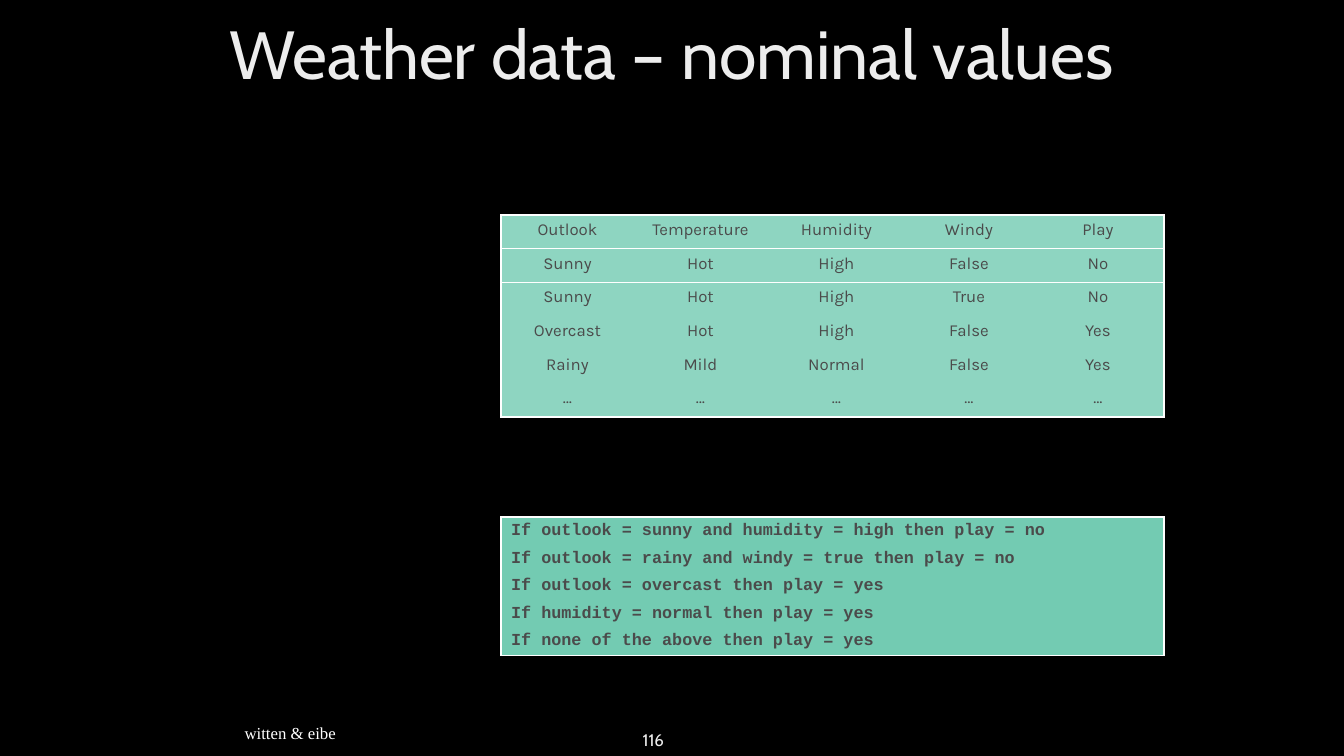
from collections import namedtuple

from lxml.etree import SubElement
from pptx import Presentation
from pptx.dml.color import RGBColor
from pptx.enum.text import MSO_ANCHOR, MSO_AUTO_SIZE, PP_ALIGN
from pptx.oxml.ns import qn
from pptx.util import Emu, Pt

COLORS = {
    "background": "000000",
    "title": "EDEDED",
    "white": "FFFFFF",
    "table text": "4B4B4B",
    "weather fill": "8ED5C1",
    "rules fill": "73CBB2",
}
PLAIN_TABLE_STYLE = "{2D5ABB26-0587-4C30-8999-92F81FD0307C}"
Box = namedtuple("Box", "left top width height")

WEATHER_COLUMNS = [133, 133, 139, 126, 132]
WEATHER = [
    ["Outlook", "Temperature", "Humidity", "Windy", "Play"],
    ["Sunny", "Hot", "High", "False", "No"],
    ["Sunny", "Hot", "High", "True", "No"],
    ["Overcast", "Hot", "High", "False", "Yes"],
    ["Rainy", "Mild", "Normal", "False", "Yes"],
    ["…"] * 5,
]
RULES = [
    "If outlook = sunny and humidity = high then play = no",
    "If outlook = rainy and windy = true then play = no",
    "If outlook = overcast then play = yes",
    "If humidity = normal then play = yes",
    "If none of the above then play = yes",
]


def px(length):
    return Emu(round(length * 914400 / 100.8))


def color(name):
    return RGBColor.from_string(COLORS[name])


def format_paragraph(paragraph, font_name, size, color_name, alignment, bold=False):
    paragraph.alignment = alignment
    font = paragraph.font
    font.name, font.size, font.bold = font_name, Pt(size), bold
    font.color.rgb = color(color_name)


def add_borders(cell, sides):
    """Draw white 1 pt lines; sides is a string in the order L, R, T, B."""
    properties = cell._tc.get_or_add_tcPr()
    for index, side in enumerate(sides):
        line = SubElement(properties, qn(f"a:ln{side}"), w=str(Pt(1)))
        fill = SubElement(line, qn("a:solidFill"))
        SubElement(fill, qn("a:srgbClr"), val=COLORS["white"])
        properties.insert(index, line)


def add_plain_table(slide, box, row_count, column_widths, fill_name):
    frame = slide.shapes.add_table(row_count, len(column_widths), *map(px, box))
    table = frame.table
    table._tbl.tblPr.find(qn("a:tableStyleId")).text = PLAIN_TABLE_STYLE
    table.horz_banding = False
    for column, width in zip(table.columns, column_widths):
        column.width = px(width)
    for row in table.rows:
        row.height = px(box.height / row_count)
    for cell in table.iter_cells():
        cell.fill.solid()
        cell.fill.fore_color.rgb = color(fill_name)
    return table


# Title
def add_title(slide, box):
    title = slide.shapes.title
    title.left, title.top, title.width, title.height = map(px, box)
    text_frame = title.text_frame
    text_frame.text = "Weather data – nominal values"
    text_frame.auto_size = MSO_AUTO_SIZE.NONE
    text_frame.vertical_anchor = MSO_ANCHOR.MIDDLE
    paragraph = text_frame.paragraphs[0]
    paragraph.line_spacing = 0.9
    format_paragraph(paragraph, "Cabin", 48.6, "title", PP_ALIGN.LEFT)


# Weather table: outer frame and a line under the header
def add_weather_table(slide, box):
    table = add_plain_table(slide, box, len(WEATHER), WEATHER_COLUMNS, "weather fill")
    last_row, last_column = len(WEATHER) - 1, len(WEATHER_COLUMNS) - 1
    for row, values in enumerate(WEATHER):
        for column, value in enumerate(values):
            cell = table.cell(row, column)
            cell.text = value
            format_paragraph(cell.text_frame.paragraphs[0], "Karla", 12,
                             "table text", PP_ALIGN.CENTER)
            lined = {"L": column == 0, "R": column == last_column,
                     "T": row <= 1, "B": row in (0, last_row)}
            add_borders(cell, "".join(side for side in lined if lined[side]))


# Rules in a single framed cell
def add_rules(slide, box):
    table = add_plain_table(slide, box, 1, [box.width], "rules fill")
    cell = table.cell(0, 0)
    cell.text = "\n".join(RULES)
    for index, paragraph in enumerate(cell.text_frame.paragraphs):
        if index:
            paragraph.space_before = Pt(6)
        format_paragraph(paragraph, "Courier New", 12, "table text",
                         PP_ALIGN.LEFT, bold=True)
    add_borders(cell, "LRTB")


# Footer texts
def add_footer_text(slide, box, text, font_name, color_name, anchor, wrap):
    text_frame = slide.shapes.add_textbox(*map(px, box)).text_frame
    text_frame.word_wrap = wrap
    text_frame.vertical_anchor = anchor
    text_frame.text = text
    format_paragraph(text_frame.paragraphs[0], font_name, 12, color_name, PP_ALIGN.RIGHT)


def main():
    presentation = Presentation()
    presentation.slide_width, presentation.slide_height = px(1344), px(756)
    slide = presentation.slides.add_slide(presentation.slide_layouts[5])
    slide.background.fill.solid()
    slide.background.fill.fore_color.rgb = color("background")

    add_title(slide, Box(219, 30, 1009, 54))
    add_weather_table(slide, Box(501, 215, 663, 202))
    add_rules(slide, Box(501, 517, 663, 134))
    add_footer_text(slide, Box(572, 723, 102, 33), "116", "Cabin", "title",
                    MSO_ANCHOR.MIDDLE, True)
    add_footer_text(slide, Box(234, 718, 112, 30), "witten & eibe", "Times New Roman",
                    "white", MSO_ANCHOR.TOP, False)
    presentation.save("out.pptx")


if __name__ == "__main__":
    main()
